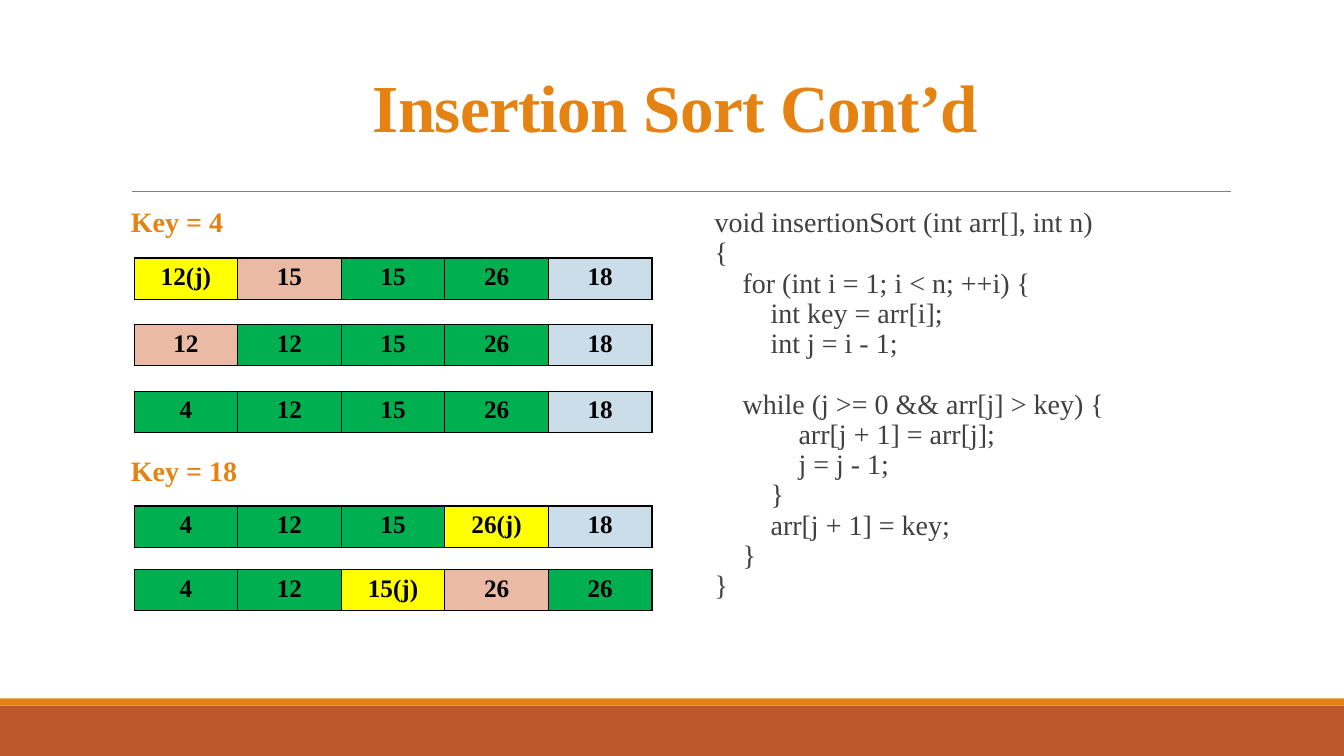
from dataclasses import dataclass

from lxml import etree
from pptx import Presentation
from pptx import util as u
from pptx.dml.color import RGBColor
from pptx.enum import shapes, text
from pptx.oxml import ns

FONT = "Times New Roman"
ORANGE, RUST, GRAY, DARK, BLACK = "E48312", "BD582C", "808080", "404040", "000000"
FILLS = {"y": "FFFF00", "p": "EABAA5", "g": "00B050", "b": "CCDDEA"}
COL, ROW = 2.61, 1.04

CODE = """void insertionSort (int arr[], int n)
{
    for (int i = 1; i < n; ++i) {
        int key = arr[i];
        int j = i - 1;

    while (j >= 0 && arr[j] > key) {
            arr[j + 1] = arr[j];
            j = j - 1;
        }
        arr[j + 1] = key;
    }
}"""


@dataclass
class Bar:
    top: float
    high: float
    fill: str


@dataclass
class Label:
    top: float
    words: str


@dataclass
class Step:
    top: float
    words: str
    fills: str


BARS = [Bar(17.78, 1.27, RUST), Bar(17.6, 0.18, ORANGE)]
LABELS = [Label(5.13, "Key = 4"), Label(11.4, "Key = 18")]
STEPS = [
    Step(6.5, "12(j) 15 15 26 18", "ypggb"),
    Step(8.18, "12 12 15 26 18", "pgggb"),
    Step(9.86, "4 12 15 26 18", "ggggb"),
    Step(12.75, "4 12 15 26(j) 18", "gggyb"),
    Step(14.35, "4 12 15(j) 26 26", "ggypg"),
]


def color(code: str) -> RGBColor:
    return RGBColor.from_string(code)


def write(frame, words: str, *, size: float = 20, ink: str = DARK, bold: bool = False,
          align=text.PP_ALIGN.LEFT, line: float = 0.9, gap: float = 21.6,
          track: int = 0) -> None:
    blank, first = False, True
    for row in words.split("\n"):
        if not row:
            blank = True
            continue
        para = frame.paragraphs[0] if first else frame.add_paragraph()
        para.alignment, para.line_spacing = align, line
        para.space_before = u.Pt(gap if blank else 0)
        run = para.add_run()
        run.text = row
        font = run.font
        font.name, font.size, font.bold = FONT, u.Pt(size), bold
        font.color.rgb = color(ink)
        if track:
            font._element.set("spc", str(track))
        blank = first = False


def add_bar(slide, bar: Bar, wide: int) -> None:
    box = slide.shapes.add_shape(shapes.MSO_SHAPE.RECTANGLE, 0, u.Cm(bar.top),
                                 wide, u.Cm(bar.high))
    box.shadow.inherit = False
    box.fill.solid()
    box.fill.fore_color.rgb = color(bar.fill)
    box.line.fill.background()


def add_rule(slide) -> None:
    rule = slide.shapes.add_connector(shapes.MSO_CONNECTOR.STRAIGHT, u.Cm(3.33),
                                      u.Cm(4.83), u.Cm(31.01), u.Cm(4.83))
    rule.line.color.rgb = color(GRAY)
    rule.line.width = u.Pt(0.5)
    etree.SubElement(rule._element.spPr, ns.qn("a:effectLst"))


def add_text(slide, left: float, top: float, wide: float, high: float,
             words: str, **style) -> None:
    box = slide.shapes.add_textbox(u.Cm(left), u.Cm(top), u.Cm(wide), u.Cm(high))
    frame = box.text_frame
    frame.word_wrap = True
    frame.margin_left = frame.margin_right = 0
    write(frame, words, **style)


def add_edge(cell) -> None:
    props = cell._tc.get_or_add_tcPr()
    for side in ("lnL", "lnR", "lnT", "lnB"):
        edge = etree.SubElement(props, ns.qn(f"a:{side}"), w=str(u.Pt(1)))
        solid = etree.SubElement(edge, ns.qn("a:solidFill"))
        etree.SubElement(solid, ns.qn("a:srgbClr"), val=BLACK)


def add_step(slide, step: Step) -> None:
    words = step.words.split()
    count = len(words)
    table = slide.shapes.add_table(1, count, u.Cm(3.38), u.Cm(step.top),
                                   u.Cm(COL * count), u.Cm(ROW)).table
    table.first_row = table.horz_banding = False
    for cell, word, key in zip(table.iter_cells(), words, step.fills):
        add_edge(cell)
        cell.fill.solid()
        cell.fill.fore_color.rgb = color(FILLS[key])
        write(cell.text_frame, word, size=18, ink=BLACK, bold=True,
              align=text.PP_ALIGN.CENTER, line=1.0)


def add_title(slide) -> None:
    title = slide.shapes.title
    title.left, title.top = u.Cm(3.05), u.Cm(0.79)
    title.width, title.height = u.Cm(27.94), u.Cm(4.04)
    frame = title.text_frame
    frame.auto_size = text.MSO_AUTO_SIZE.NONE
    frame.vertical_anchor = text.MSO_ANCHOR.MIDDLE
    write(frame, "Insertion Sort Cont’d", size=48, ink=ORANGE, bold=True,
          align=text.PP_ALIGN.CENTER, line=0.85, track=-50)


def main() -> None:
    deck = Presentation()
    deck.slide_width, deck.slide_height = u.Cm(33.87), u.Cm(19.05)
    slide = deck.slides.add_slide(deck.slide_layouts[5])
    for bar in BARS:
        add_bar(slide, bar, deck.slide_width)
    add_rule(slide)
    add_title(slide)
    add_text(slide, 18.01, 5.13, 13, 12.3, CODE)
    for label in LABELS:
        add_text(slide, 3.3, label.top, 13, 1.1, label.words, ink=ORANGE, bold=True)
    for step in STEPS:
        add_step(slide, step)
    deck.save("out.pptx")


if __name__ == "__main__":
    main()
